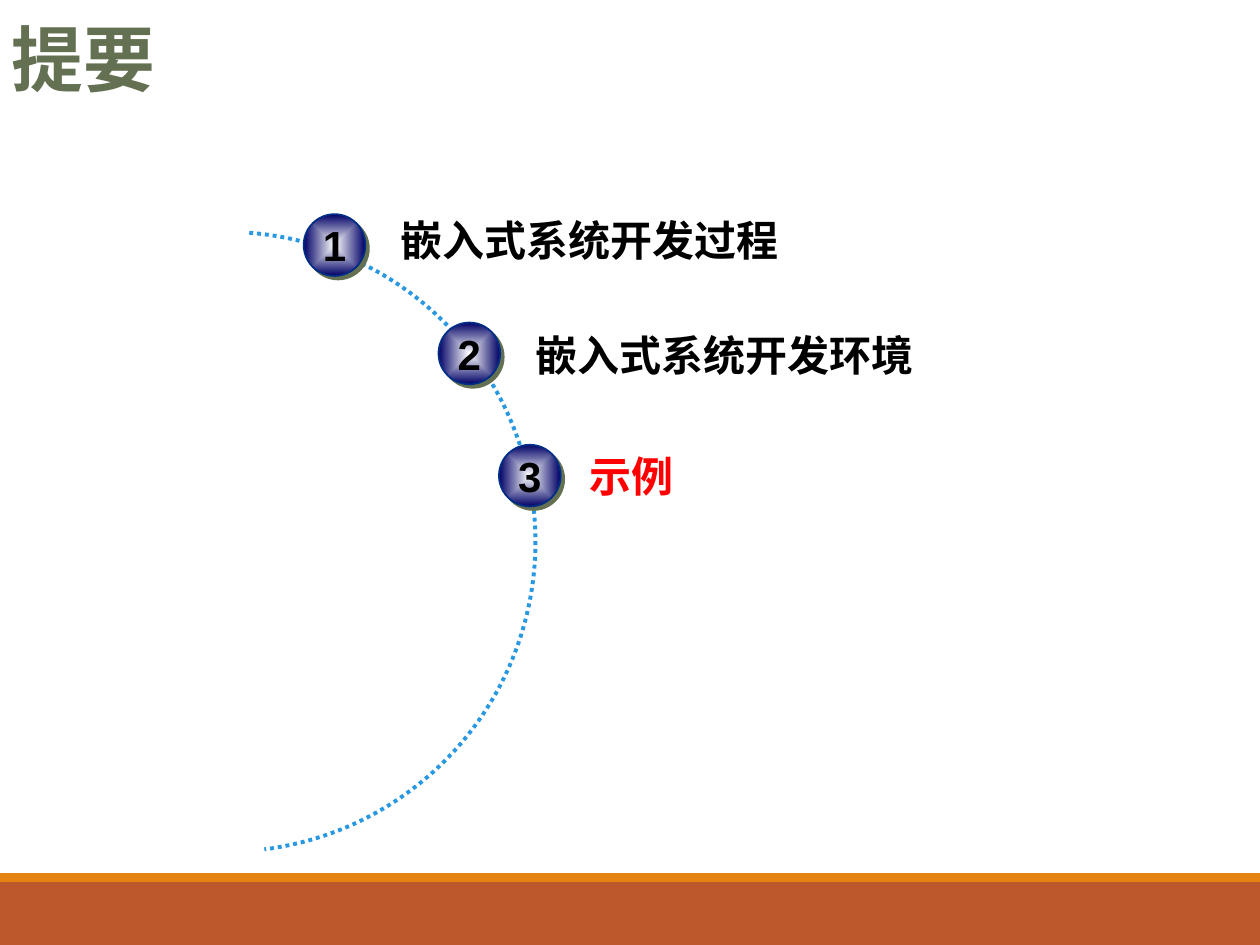
from dataclasses import dataclass
from math import cos, radians, sin

from lxml.etree import SubElement as Sub
from pptx import Presentation
from pptx.dml.color import RGBColor as Rgb
from pptx.enum.dml import MSO_LINE as Dash
from pptx.enum.shapes import MSO_SHAPE as Kind
from pptx.enum.text import MSO_ANCHOR as Anchor, MSO_AUTO_SIZE as Auto, PP_ALIGN as Align
from pptx.oxml.ns import qn
from pptx.util import Inches, Pt


@dataclass(frozen=True)
class Theme:
    font: str = "Noto Sans CJK SC"
    digit: str = "Arial"
    head: int = 41
    body: int = 24
    olive: str = "637052"
    black: str = "000000"
    red: str = "FF0000"
    white: str = "FFFFFF"
    navy: str = "000066"
    rim: str = "002D86"
    arc: str = "2998E3"
    rust: str = "BD582C"
    amber: str = "E48312"


T = Theme()
BALL = 0.49

# number, ball left and top, label left, top and width, label, colour
ITEMS = [
    ("1", 2.41, 1.7, 3.09, 1.7, 5.88, "嵌入式系统开发过程", T.black),
    ("2", 3.48, 2.56, 4.16, 2.61, 5.09, "嵌入式系统开发环境", T.black),
    ("3", 3.96, 3.53, 4.59, 3.57, 4.7, "示例", T.red),
]


def color(code):
    return Rgb.from_string(code)


def box(*sizes):
    return [Inches(size) for size in sizes]


def add_run(para, text, size, code, font):
    run = para.add_run()
    run.text = text
    run.font.size = Pt(size)
    run.font.bold = True
    run.font.name = font
    run.font.color.rgb = color(code)
    Sub(run.font._element, qn("a:ea"), typeface=font)


def set_frame(frame, anchor, wrap=True, pad=(0.09, 0.05)):
    frame.auto_size = Auto.NONE
    frame.word_wrap = wrap
    frame.vertical_anchor = anchor
    frame.margin_left = frame.margin_right = Inches(pad[0])
    frame.margin_top = frame.margin_bottom = Inches(pad[1])
    return frame.paragraphs[0]


def add_title(slide, text):
    title = slide.shapes.title
    title.left, title.top, title.width, title.height = box(0, 0, 8.28, 0.86)
    para = set_frame(title.text_frame, Anchor.BOTTOM)
    para.alignment = Align.LEFT
    para.line_spacing = 0.9
    props = para._p.get_or_add_pPr()
    props.set("marL", str(Inches(0.28)))
    props.set("indent", str(-Inches(0.28)))
    add_run(para, text, T.head, T.olive, T.font)


def add_band(slide, top, height, code):
    band = slide.shapes.add_shape(Kind.RECTANGLE, *box(0, top, 10, height))
    band.shadow.inherit = False
    band.fill.solid()
    band.fill.fore_color.rgb = color(code)
    band.line.fill.background()


def add_arc(slide, x, y, radius, start, end):
    """Draw a dotted arc about (x, y), in two sweeps that meet at angle 0."""
    def point(angle):
        turn = radians(angle)
        return box(x + radius * cos(turn), y + radius * sin(turn))

    path = slide.shapes.build_freeform(*box(x, y))
    path.move_to(*point(start))
    path.add_line_segments([point(0), point(end)], close=False)
    arc = path.convert_to_shape()
    lines = list(arc._element.iter(qn("a:lnTo")))
    for line, (begin, sweep) in zip(lines, [(start, -start), (0, end)]):
        curve = Sub(line.getparent(), qn("a:arcTo"))
        reach = str(Inches(radius))
        values = {"wR": reach, "hR": reach,
                  "stAng": str(round(begin * 60000)),
                  "swAng": str(round(sweep * 60000))}
        for name, value in values.items():
            curve.set(name, value)
        line.getparent().replace(line, curve)
    arc.shadow.inherit = False
    arc.fill.background()
    arc.line.color.rgb = color(T.arc)
    arc.line.width = Pt(2.25)
    arc.line.dash_style = Dash.ROUND_DOT


def add_glow(shape):
    """Fill from a white centre to a navy edge."""
    shape.fill.gradient()
    for stop, code in zip(shape.fill.gradient_stops, (T.white, T.navy)):
        stop.color.rgb = color(code)
    grad = shape._element.spPr.find(qn("a:gradFill"))
    grad.remove(grad.find(qn("a:lin")))
    way = Sub(grad, qn("a:path"), path="shape")
    Sub(way, qn("a:fillToRect"), l="50000", t="50000", r="50000", b="50000")


def add_shade(shape):
    shape.shadow.inherit = False
    effects = shape._element.spPr.find(qn("a:effectLst"))
    shade = Sub(effects, qn("a:outerShdw"), dist=str(Pt(2.8)),
                dir=str(45 * 60000), algn="ctr", rotWithShape="0")
    Sub(shade, qn("a:srgbClr"), val=T.olive)


def add_ball(slide, left, top, text):
    ball = slide.shapes.add_shape(Kind.OVAL, *box(left, top, BALL, BALL))
    add_glow(ball)
    ball.line.color.rgb = color(T.rim)
    ball.line.width = Pt(1)
    add_shade(ball)
    para = set_frame(ball.text_frame, Anchor.MIDDLE, wrap=False, pad=(0, 0))
    para.alignment = Align.CENTER
    add_run(para, text, T.body, T.black, T.digit)


def add_label(slide, left, top, width, text, code):
    label = slide.shapes.add_textbox(*box(left, top, width, BALL))
    para = set_frame(label.text_frame, Anchor.TOP)
    para.line_spacing = 0.9
    add_run(para, text, T.body, code, T.font)


def main():
    deck = Presentation()
    deck.slide_width, deck.slide_height = box(10, 7.5)
    slide = deck.slides.add_slide(deck.slide_layouts[5])
    add_band(slide, 7, 0.5, T.rust)
    add_band(slide, 6.93, 0.07, T.amber)
    add_title(slide, "提要")
    add_arc(slide, 1.79, 4.3, 2.46, -85.6, 82.8)
    for number, x, y, left, top, width, text, code in ITEMS:
        add_ball(slide, x, y, number)
        add_label(slide, left, top, width, text, code)
    deck.save("out.pptx")


if __name__ == "__main__":
    main()
